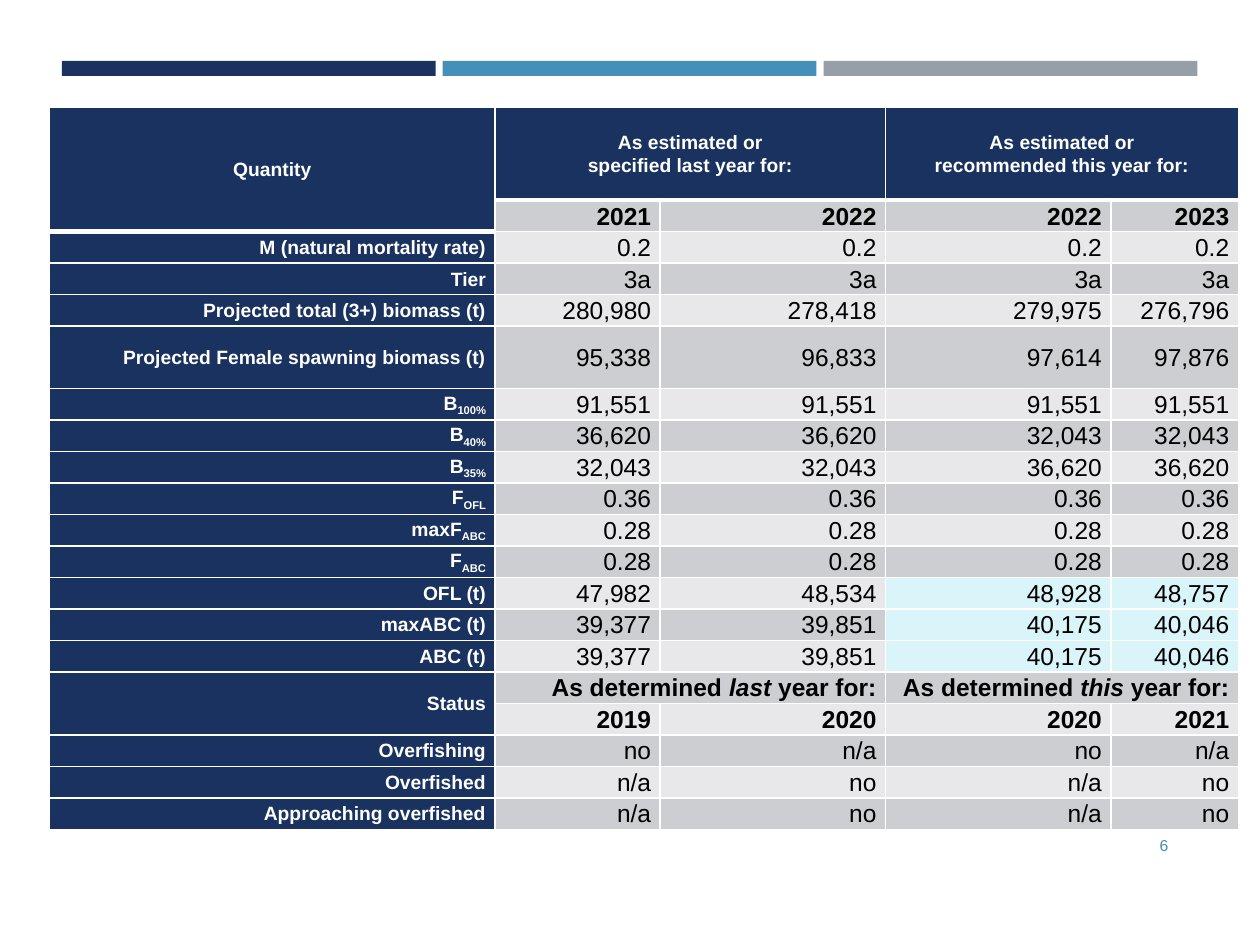
from lxml import etree
from pptx import Presentation
from pptx.dml.color import RGBColor
from pptx.enum.shapes import MSO_SHAPE
from pptx.enum.text import MSO_ANCHOR, PP_ALIGN
from pptx.oxml.ns import qn
from pptx.util import Pt

RECTANGLE = MSO_SHAPE.RECTANGLE
MIDDLE = MSO_ANCHOR.MIDDLE
CENTER, RIGHT = PP_ALIGN.CENTER, PP_ALIGN.RIGHT

NAVY = RGBColor(0x1A, 0x32, 0x60)
BLUE = RGBColor(0x45, 0x90, 0xB8)
GRAY = RGBColor(0x96, 0x9F, 0xA7)
DARK_BAND = RGBColor(0xCD, 0xCE, 0xD2)
LIGHT_BAND = RGBColor(0xE8, 0xE8, 0xEA)
HIGHLIGHT = RGBColor(0xDA, 0xF5, 0xFA)
WHITE = RGBColor(0xFF, 0xFF, 0xFF)
BLACK = RGBColor(0, 0, 0)
FONT = "Arial"

# Text between bars is subscript in the label column and italic elsewhere.
ROWS = [
    ("Quantity", "As estimated or\nspecified last year for:", "",
     "As estimated or\nrecommended this year for:", ""),
    ("", "2021", "2022", "2022", "2023"),
    ("M (natural mortality rate)", "0.2", "0.2", "0.2", "0.2"),
    ("Tier", "3a", "3a", "3a", "3a"),
    ("Projected total (3+) biomass (t)", "280,980", "278,418", "279,975", "276,796"),
    ("Projected Female spawning biomass (t)", "95,338", "96,833", "97,614", "97,876"),
    ("B|100%", "91,551", "91,551", "91,551", "91,551"),
    ("B|40%", "36,620", "36,620", "32,043", "32,043"),
    ("B|35%", "32,043", "32,043", "36,620", "36,620"),
    ("F|OFL", "0.36", "0.36", "0.36", "0.36"),
    ("maxF|ABC", "0.28", "0.28", "0.28", "0.28"),
    ("F|ABC", "0.28", "0.28", "0.28", "0.28"),
    ("OFL (t)", "47,982", "48,534", "48,928", "48,757"),
    ("maxABC (t)", "39,377", "39,851", "40,175", "40,046"),
    ("ABC (t)", "39,377", "39,851", "40,175", "40,046"),
    ("Status", "As determined |last| year for:", "", "As determined |this| year for:", ""),
    ("", "2019", "2020", "2020", "2021"),
    ("Overfishing", "no", "n/a", "no", "n/a"),
    ("Overfished", "n/a", "no", "n/a", "no"),
    ("Approaching overfished", "n/a", "no", "n/a", "no"),
]
BOLD_ROWS = {0, 1, 15, 16}
HIGHLIGHT_ROWS = {12, 13, 14}
SECTION_ROWS = (0, 15)
COLUMN_WIDTHS = (254.6, 94.4, 128.8, 128.8, 72.8)
ROW_HEIGHT = 18
TALL_ROWS = {0: 53, 5: 35.5}
TABLE_LEFT, TABLE_TOP = 28.3, 61.4

BAR_COLORS = (NAVY, BLUE, GRAY)
BAR_LEFT, BAR_TOP, BAR_WIDTH, BAR_HEIGHT, BAR_GAP = 35.4, 34.8, 213.6, 8.6, 4


def style_font(font, size, color, bold=False):
    font.name, font.size, font.bold = FONT, Pt(size), bold
    font.color.rgb = color


def is_header(row, column):
    return row == 0 or (row, column) == (1, 0)


def add_borders(cell, row, column):
    heavy = {"lnT": is_header(row - 1, column), "lnB": is_header(row, column)}
    properties = cell._tc.get_or_add_tcPr()
    for side in ("lnL", "lnR", "lnT", "lnB"):
        width = Pt(3 if heavy.get(side) else 1)
        line = etree.SubElement(properties, qn("a:" + side), w=str(width))
        fill = etree.SubElement(line, qn("a:solidFill"))
        etree.SubElement(fill, qn("a:srgbClr"), val=str(WHITE))


def cell_fill(row, column):
    if row == 0 or column == 0:
        return NAVY
    if row in HIGHLIGHT_ROWS and column >= 3:
        return HIGHLIGHT
    return DARK_BAND if row % 2 else LIGHT_BAND


def write_cell(cell, text, row, column):
    label = row == 0 or column == 0
    size, color = (11, WHITE) if label else (14, BLACK)
    frame = cell.text_frame
    for number, line in enumerate(text.split("\n")):
        para = frame.add_paragraph() if number else frame.paragraphs[0]
        para.alignment = CENTER if row == 0 else RIGHT
        para.line_spacing = 1.07
        for index, piece in enumerate(line.split("|")):
            span = para.add_run()
            span.text = piece
            style_font(span.font, size, color, label or row in BOLD_ROWS)
            if index % 2 and column == 0:
                span.font._element.set("baseline", "-25000")
            elif index % 2:
                span.font.italic = True


def add_bars(page):
    for index, color in enumerate(BAR_COLORS):
        left = BAR_LEFT + index * (BAR_WIDTH + BAR_GAP)
        bar = page.shapes.add_shape(RECTANGLE, Pt(left), Pt(BAR_TOP),
                                    Pt(BAR_WIDTH), Pt(BAR_HEIGHT))
        bar.shadow.inherit = False
        bar.fill.solid()
        bar.fill.fore_color.rgb = color
        bar.line.fill.background()


def add_page_number(page):
    box = page.shapes.add_textbox(Pt(614.2), Pt(468.7), Pt(60.5), Pt(28.8))
    frame = box.text_frame
    frame.word_wrap = True
    frame.vertical_anchor = MIDDLE
    frame.text = "6"
    para = frame.paragraphs[0]
    para.alignment = RIGHT
    style_font(para.runs[0].font, 9, BLUE)


def add_quantity_table(page):
    heights = [TALL_ROWS.get(row, ROW_HEIGHT) for row in range(len(ROWS))]
    table = page.shapes.add_table(
        len(ROWS), len(COLUMN_WIDTHS), Pt(TABLE_LEFT), Pt(TABLE_TOP),
        Pt(sum(COLUMN_WIDTHS)), Pt(sum(heights))).table
    table.first_row = table.horz_banding = False
    for column, width in zip(table.columns, COLUMN_WIDTHS):
        column.width = Pt(width)
    for row, height in zip(table.rows, heights):
        row.height = Pt(height)
    for row, values in enumerate(ROWS):
        for column, text in enumerate(values):
            cell = table.cell(row, column)
            cell.margin_left = cell.margin_right = Pt(5.2)
            cell.margin_top = cell.margin_bottom = 0
            cell.vertical_anchor = MIDDLE
            add_borders(cell, row, column)
            cell.fill.solid()
            cell.fill.fore_color.rgb = cell_fill(row, column)
            if text:
                write_cell(cell, text, row, column)
    for row in SECTION_ROWS:
        table.cell(row, 0).merge(table.cell(row + 1, 0))
        for column in (1, 3):
            table.cell(row, column).merge(table.cell(row, column + 1))


def main():
    deck = Presentation()
    deck.slide_width, deck.slide_height = Pt(720), Pt(540)
    page = deck.slides.add_slide(deck.slide_layouts[6])
    add_bars(page)
    add_page_number(page)
    add_quantity_table(page)
    deck.save("out.pptx")


if __name__ == "__main__":
    main()
